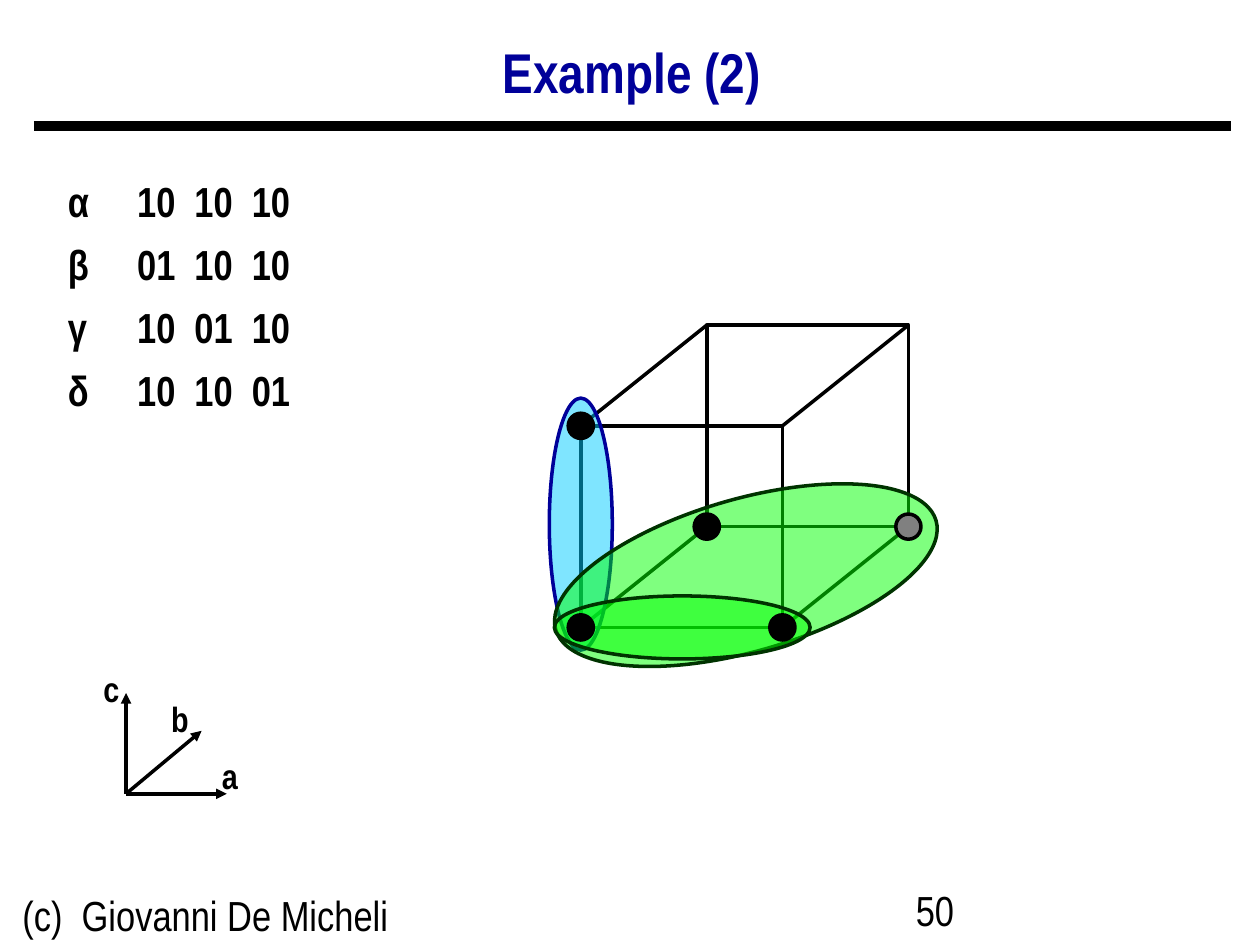
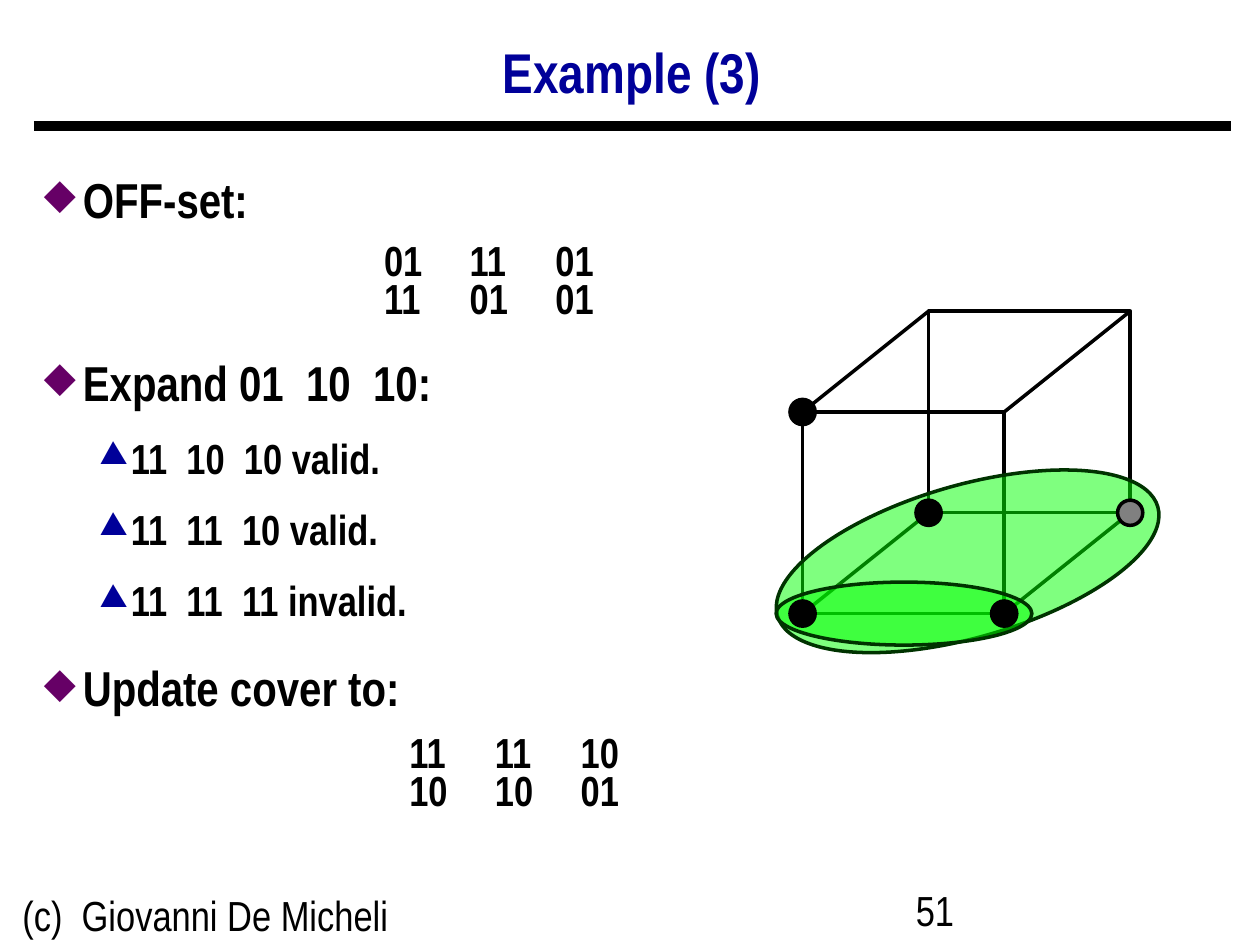
"""Build two slides on expanding a cover over a three-variable cube."""
from lxml.etree import SubElement
from pptx import Presentation
from pptx.dml.color import RGBColor
from pptx.enum.shapes import MSO_CONNECTOR, MSO_SHAPE
from pptx.enum.text import MSO_ANCHOR, PP_ALIGN
from pptx.oxml.ns import qn
from pptx.shapes.connector import Connector
from pptx.util import Inches, Pt

deck = Presentation()
deck.slide_width, deck.slide_height = Inches(10), Inches(7.5)
COL, ROW = deck.slide_width / 100, deck.slide_height / 75

FONT = "Arial Narrow"
BLACK, NAVY, PURPLE, GRAY = "000000", "000099", "660066", "808080"
CYAN, GREEN, DARK_GREEN = "00CCFF", "00FF00", "003300"
hex_color = RGBColor.from_string


def paint(shape, line=BLACK, width=2, fill=None, opacity=100, arrow=False):
    """Style the outline, fill and arrowhead of a shape or connector."""
    shape.line.color.rgb = hex_color(line)
    shape.line.width = Pt(width)
    if arrow:
        SubElement(shape.line._get_or_add_ln(), qn("a:tailEnd"), type="triangle")
    if isinstance(shape, Connector):
        SubElement(shape.element.spPr, qn("a:effectLst"))
        return
    shape.shadow.inherit = False
    if fill is None:
        shape.fill.background()
        return
    shape.fill.solid()
    shape.fill.fore_color.rgb = hex_color(fill)
    if opacity < 100:
        tint = shape.element.spPr.find(qn("a:solidFill"))[0]
        SubElement(tint, qn("a:alpha"), val=str(opacity * 1000))


def add_text(slide, left, top, width, height, lines, size=24, bold=True, color=BLACK,
             align=PP_ALIGN.LEFT, anchor=MSO_ANCHOR.TOP, spacing=1.0, tabs=()):
    """Add a text box; each line is its text and an optional bullet level."""
    box = slide.shapes.add_textbox(
        int(left * COL), int(top * ROW), int(width * COL), int(height * ROW))
    frame = box.text_frame
    frame.word_wrap = True
    frame.vertical_anchor = anchor
    for index, (text, level, before) in enumerate(lines):
        paragraph = frame.paragraphs[0] if index == 0 else frame.add_paragraph()
        properties = paragraph._p.get_or_add_pPr()
        if level:
            properties.set("marL", str(int(level["indent"] * COL)))
            properties.set("indent", str(int(-level["hang"] * COL)))
            SubElement(SubElement(properties, qn("a:buClr")), qn("a:srgbClr"),
                       val=level["color"])
            SubElement(properties, qn("a:buSzPct"), val=str(level["percent"] * 1000))
            SubElement(properties, qn("a:buChar"), char=level["mark"])
        if tabs:
            stops = SubElement(properties, qn("a:tabLst"))
            for stop in tabs:
                SubElement(stops, qn("a:tab"), pos=str(int(stop * COL)), algn="l")
        paragraph.alignment = align
        paragraph.line_spacing = level["spacing"] if level else spacing
        paragraph.space_before = Pt(before)
        run = paragraph.add_run()
        run.text = text
        run.font.name = FONT
        run.font.size = Pt(level["size"] if level else size)
        run.font.bold = bold
        run.font.color.rgb = hex_color(color)


SIDE, DEPTH_X, DEPTH_Y = 16, 10, -8
VERTICES = [(0, 0, BLACK), (0, SIDE, BLACK), (DEPTH_X, SIDE + DEPTH_Y, BLACK),
            (SIDE, SIDE, BLACK), (SIDE + DEPTH_X, SIDE + DEPTH_Y, GRAY)]
column_cube = (-2.5, -2.2, 5, 20, 0, CYAN, NAVY)
plane_cube = (-2.6, 5.8, 31.4, 12.1, -16, GREEN, DARK_GREEN)
edge_cube = (-2.1, 13.5, 20.3, 5, 0, GREEN, DARK_GREEN)

slides = []
for title, number, cube_x, cube_y, implicants in [
    ("Example (2)", "50", 46.1, 33.8, [column_cube, plane_cube, edge_cube]),
    ("Example (3)", "51", 63.7, 32.7, [plane_cube, edge_cube]),
]:
    slide = deck.slides.add_slide(deck.slide_layouts[6])
    slides.append(slide)
    paint(slide.shapes.add_connector(
        MSO_CONNECTOR.STRAIGHT, int(2.7 * COL), int(10 * ROW),
        int(97.7 * COL), int(10 * ROW)), width=6)
    add_text(slide, 0.8, 70.1, 31.6, 5.2, [("(c)  Giovanni De Micheli", None, 0)], bold=False)
    add_text(slide, 71.7, 69.7, 23.3, 5.2, [(number, None, 0)], bold=False)
    add_text(slide, 2.6, 2.2, 95.1, 7.5, [(title, None, 0)], size=32, color=NAVY,
             align=PP_ALIGN.CENTER, anchor=MSO_ANCHOR.MIDDLE, spacing=0.9)

    for dx, dy in [(0, 0), (DEPTH_X, DEPTH_Y)]:
        paint(slide.shapes.add_shape(
            MSO_SHAPE.RECTANGLE, int((cube_x + dx) * COL), int((cube_y + dy) * ROW),
            int(SIDE * COL), int(SIDE * ROW)))
    for dx in (0, SIDE):
        for dy in (0, SIDE):
            x, y = cube_x + dx, cube_y + dy
            paint(slide.shapes.add_connector(
                MSO_CONNECTOR.STRAIGHT, int(x * COL), int(y * ROW),
                int((x + DEPTH_X) * COL), int((y + DEPTH_Y) * ROW)))
    for dx, dy, width, height, turn, fill, line in implicants:
        implicant = slide.shapes.add_shape(
            MSO_SHAPE.OVAL, int((cube_x + dx) * COL), int((cube_y + dy) * ROW),
            int(width * COL), int(height * ROW))
        implicant.rotation = turn
        paint(implicant, line, fill=fill, opacity=50)
    for dx, dy, fill in VERTICES:
        paint(slide.shapes.add_shape(
            MSO_SHAPE.OVAL, int((cube_x + dx - 1) * COL), int((cube_y + dy - 1) * ROW),
            int(2 * COL), int(2 * ROW)), fill=fill)

cover_slide, expand_slide = slides

for row, minterm in enumerate(["α\t10\t10\t10", "β\t01\t10\t10",
                               "γ\t10\t01\t10", "δ\t10\t10\t01"]):
    add_text(cover_slide, 4.4, 13.4 + 5 * row, 22, 5, [(minterm, None, 0)],
             tabs=[5.5 + 4.55 * step for step in range(3)])

ORIGIN_X, ORIGIN_Y = 10, 63
for axis, dx, dy, label_x, label_y in [
    ("a", 8, 0, 16.6, 59.4), ("b", 6, -5, 12.6, 54.9), ("c", 0, -8, 7.2, 52.5),
]:
    paint(cover_slide.shapes.add_connector(
        MSO_CONNECTOR.STRAIGHT, int(ORIGIN_X * COL), int(ORIGIN_Y * ROW),
        int((ORIGIN_X + dx) * COL), int((ORIGIN_Y + dy) * ROW)), arrow=True)
    add_text(cover_slide, label_x, label_y, 3.3, 4.4, [(axis, None, 0)], size=20,
             align=PP_ALIGN.CENTER)

STEP = dict(indent=3.1, hang=3.1, mark="◆", color=PURPLE, percent=85, size=28, spacing=1.25)
TRIAL = dict(indent=6.9, hang=2.5, mark="▲", color=NAVY, percent=75, size=24, spacing=1.1)
add_text(expand_slide, 2.5, 11.8, 95.1, 56.9, [
    ("OFF-set:", STEP, 0),
    ("Expand 01  10  10:", STEP, 62.5),
    ("11  10  10 valid.", TRIAL, 9),
    ("11  11  10 valid.", TRIAL, 9),
    ("11  11  11 invalid.", TRIAL, 9),
    ("Update cover to:", STEP, 10.5),
])
for left, top, implicant_rows in [
    (29.5, 18.1, ["01\t11\t01", "11\t01\t01"]),
    (31.5, 57.2, ["11\t11\t10", "10\t10\t01"]),
]:
    for row, implicant_row in enumerate(implicant_rows):
        add_text(expand_slide, left, top + 3 * row, 20, 5, [(implicant_row, None, 0)],
                 tabs=[6.8, 13.6])

deck.save("out.pptx")
